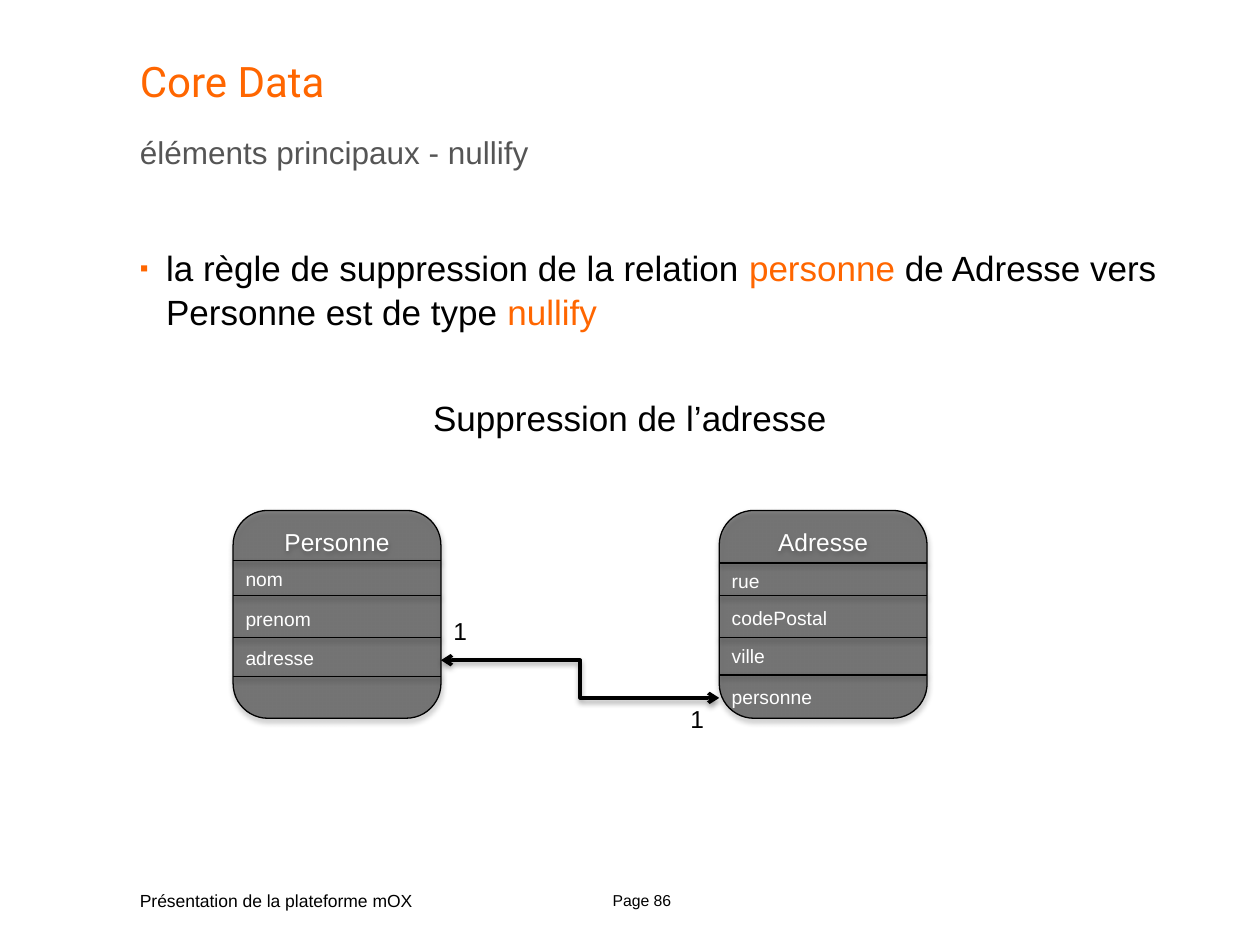
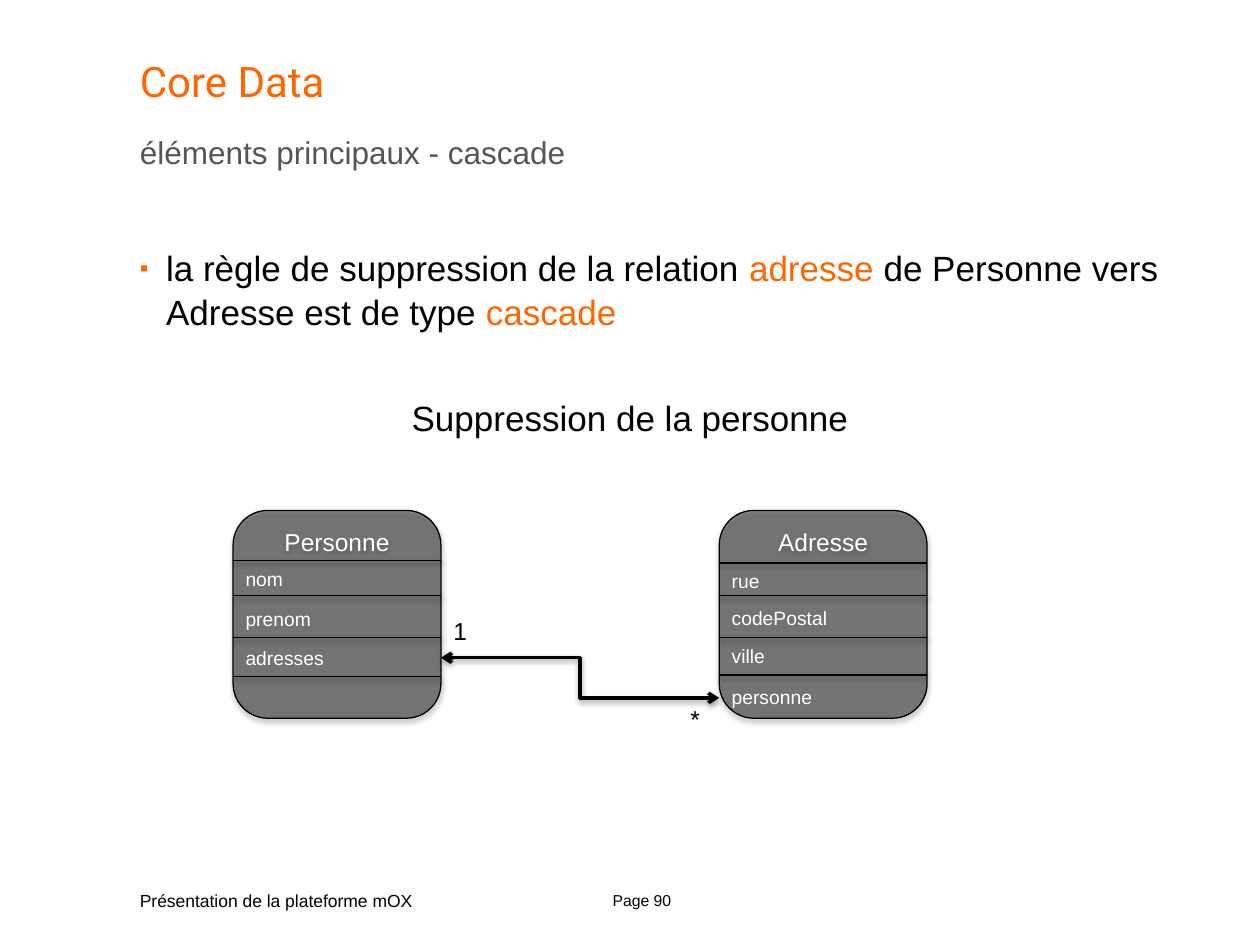
from dataclasses import dataclass

from lxml.etree import SubElement
from pptx import Presentation
from pptx.dml.color import RGBColor
from pptx.enum.shapes import MSO_CONNECTOR, MSO_SHAPE
from pptx.enum.text import MSO_ANCHOR, PP_ALIGN
from pptx.oxml.ns import qn
from pptx.util import Cm, Pt


@dataclass(frozen=True)
class Theme:
    orange: RGBColor = RGBColor(0xFF, 0x66, 0x00)
    black: RGBColor = RGBColor(0, 0, 0)
    grey: RGBColor = RGBColor(0x55, 0x55, 0x55)
    white: RGBColor = RGBColor(0xFF, 0xFF, 0xFF)
    title_font: str = "Roboto"
    body_font: str = "Arial"
    title_size: int = 24
    body_size: int = 20
    subtitle_size: int = 18
    entity_size: int = 14
    attribute_size: int = 11
    footer_size: int = 10
    page_size: int = 9


THEME = Theme()
MARGIN = 2.82
TITLE_WIDTH = 21.69
ENTITY_TOP, ENTITY_SIDE = 10.29, 4.19
PERSON_LEFT, ADDRESS_LEFT = 4.7, 14.5
LINK_START = PERSON_LEFT + ENTITY_SIDE
LINK_END_TOP = 14.07
ADDRESS_ROWS = [("rue", 11.35), ("codePostal", 12.09), ("ville", 12.85), ("personne", 13.69)]
PERSON_DIVIDERS = [11.3, 12.01, 12.85, 13.64]
ADDRESS_DIVIDERS = [11.35, 12.01, 12.85, 13.61]

SLIDES = [
    {
        "page": 86,
        "rule": "nullify",
        "body": [("la règle de suppression de la relation ", THEME.black), ("personne", THEME.orange),
                 (" de Adresse vers Personne est de type ", THEME.black), ("nullify", THEME.orange)],
        "body_height": 5,
        "caption": "Suppression de l’adresse",
        "relation": "adresse",
        "address_count": "1",
        "link_top": 13.31,
    },
    {
        "page": 90,
        "rule": "cascade",
        "body": [("la règle de suppression de la relation ", THEME.black), ("adresse ", THEME.orange),
                 ("de Personne vers Adresse est de type ", THEME.black), ("cascade", THEME.orange)],
        "body_height": 2.21,
        "caption": "Suppression de la personne",
        "relation": "adresses",
        "address_count": "*",
        "link_top": 13.26,
    },
]


def add_text(slide, box, runs, size, color=THEME.black, font=THEME.body_font,
             align=PP_ALIGN.LEFT, insets=(0.25, 0.13), bullet=False):
    """Add a text box; runs is a string or a list of (text, colour) pairs."""
    shape = slide.shapes.add_textbox(*map(Cm, box))
    frame = shape.text_frame
    frame.word_wrap = True
    frame.vertical_anchor = MSO_ANCHOR.TOP
    frame.margin_left = frame.margin_right = Cm(insets[0])
    frame.margin_top = frame.margin_bottom = Cm(insets[1])
    paragraph = frame.paragraphs[0]
    paragraph.alignment = align
    if bullet:
        paragraph.line_spacing = 1.05
        properties = paragraph._p.get_or_add_pPr()
        properties.set("marL", str(Cm(0.53)))
        properties.set("indent", str(-Cm(0.53)))
        bullet_color = SubElement(properties, qn("a:buClr"))
        SubElement(bullet_color, qn("a:srgbClr"), val=str(THEME.orange))
        SubElement(properties, qn("a:buSzPct"), val="70000")
        SubElement(properties, qn("a:buFont"), typeface=THEME.body_font)
        SubElement(properties, qn("a:buChar"), char="▪")
    pairs = [(runs, color)] if isinstance(runs, str) else runs
    for text, run_color in pairs:
        run = paragraph.add_run()
        run.text = text
        run.font.name = font
        run.font.size = Pt(size)
        run.font.color.rgb = run_color


def outline_with_shadow(shape, width, distance, opacity):
    """Draw a black line and a soft shadow below; call it after the fill is set."""
    shape.line.color.rgb = THEME.black
    shape.line.width = Pt(width)
    effects = SubElement(shape.element.spPr, qn("a:effectLst"))
    shadow = SubElement(effects, qn("a:outerShdw"), blurRad=str(Pt(3.1)), dist=str(Pt(distance)),
                        dir="5400000", rotWithShape="0")
    color = SubElement(shadow, qn("a:srgbClr"), val=str(THEME.black))
    SubElement(color, qn("a:alpha"), val=str(opacity * 1000))


presentation = Presentation()
presentation.slide_width, presentation.slide_height = Cm(25.4), Cm(19.05)

for content in SLIDES:
    slide = presentation.slides.add_slide(presentation.slide_layouts[6])

    add_text(slide, (11.91, 17.83, 2.06, 0.61), f"Page {content['page']}", THEME.page_size,
             align=PP_ALIGN.CENTER)
    add_text(slide, (MARGIN, 4.93, 22.3, content["body_height"]), content["body"],
             THEME.body_size, insets=(0, 0), bullet=True)
    add_text(slide, (MARGIN, 1.12, TITLE_WIDTH, 1.37), "Core Data", THEME.title_size,
             THEME.orange, THEME.title_font, insets=(0, 0))
    add_text(slide, (MARGIN, 17.81, 6.91, 0.61), "Présentation de la plateforme mOX",
             THEME.footer_size, insets=(0, 0.13))
    add_text(slide, (MARGIN, 2.69, TITLE_WIDTH, 0.84),
             f"éléments principaux - {content['rule']}",
             THEME.subtitle_size, THEME.grey, insets=(0, 0))

    person_rows = [("nom", 11.3), ("prenom", 12.12), (content["relation"], 12.9)]
    entities = [
        ("Personne", PERSON_LEFT, person_rows, PERSON_DIVIDERS),
        ("Adresse", ADDRESS_LEFT, ADDRESS_ROWS, ADDRESS_DIVIDERS),
    ]
    for name, left, rows, dividers in entities:
        entity = slide.shapes.add_shape(MSO_SHAPE.ROUNDED_RECTANGLE, Cm(left), Cm(ENTITY_TOP),
                                        Cm(ENTITY_SIDE), Cm(ENTITY_SIDE))
        entity.fill.solid()
        entity.fill.fore_color.rgb = THEME.black
        fill_color = entity.element.spPr.find(qn("a:solidFill"))[0]
        SubElement(fill_color, qn("a:alpha"), val="46000")
        outline_with_shadow(entity, 0.75, 1.8, 35)
        entity.text_frame.text = name
        entity.text_frame.vertical_anchor = MSO_ANCHOR.TOP
        paragraph = entity.text_frame.paragraphs[0]
        paragraph.alignment = PP_ALIGN.CENTER
        font = paragraph.runs[0].font
        font.name = THEME.body_font
        font.size = Pt(THEME.entity_size)
        font.color.rgb = THEME.white

        for attribute, top in rows:
            add_text(slide, (left, top, ENTITY_SIDE, 0.74), attribute,
                     THEME.attribute_size, THEME.white)
        for top in dividers:
            divider = slide.shapes.add_connector(MSO_CONNECTOR.STRAIGHT, Cm(left), Cm(top),
                                                 Cm(left + ENTITY_SIDE), Cm(top))
            outline_with_shadow(divider, 0.75, 1.6, 38)

    link = slide.shapes.add_connector(MSO_CONNECTOR.ELBOW, Cm(LINK_START), Cm(content["link_top"]),
                                      Cm(ADDRESS_LEFT), Cm(LINK_END_TOP))
    outline_with_shadow(link, 2, 1.6, 38)
    link_line = link.element.spPr.find(qn("a:ln"))
    for end in ("a:headEnd", "a:tailEnd"):
        SubElement(link_line, qn(end), type="arrow")

    add_text(slide, (LINK_START, 12.29, 1, 0.86), "1", THEME.entity_size)
    add_text(slide, (13.67, LINK_END_TOP, 1, 0.86), content["address_count"], THEME.entity_size)
    add_text(slide, (0, 7.87, 25.4, 1.12), content["caption"], THEME.body_size,
             align=PP_ALIGN.CENTER)

presentation.save("out.pptx")
